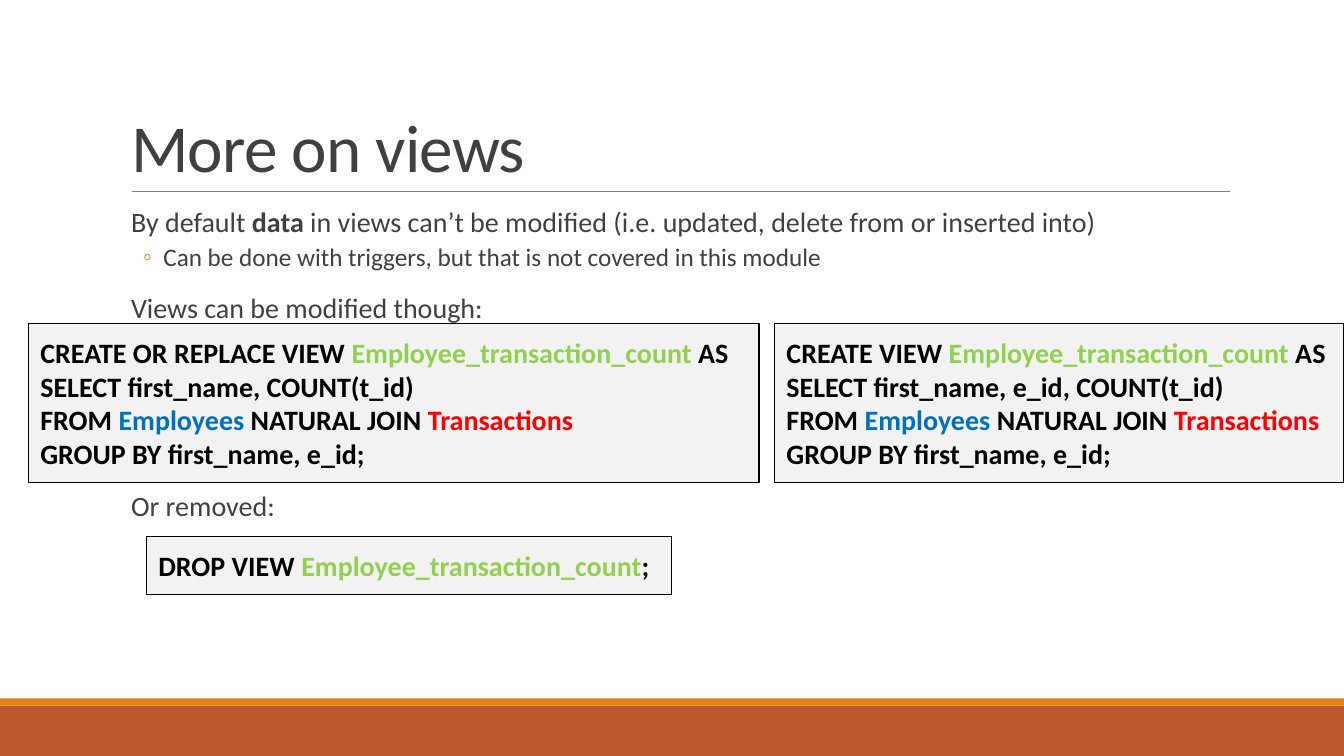
from dataclasses import dataclass

from lxml.etree import SubElement
from pptx import Presentation
from pptx.dml.color import RGBColor
from pptx.enum.shapes import MSO_CONNECTOR, MSO_SHAPE
from pptx.enum.text import MSO_ANCHOR, MSO_AUTO_SIZE, PP_ALIGN
from pptx.oxml.ns import qn
from pptx.util import Inches, Pt

# Content: "|" separates the runs of a line
TITLE = "More on views"
BODY = [  # level, text, space before in points
    (0, "By default |data| in views can’t be modified (i.e. updated, delete from or inserted into)", 0),
    (1, "Can be done with triggers, but that is not covered in this module", 2),
    (0, "Views can be modified though:", 12),
    (0, "Or removed:", 118),  # leaves room for the code boxes
]
EMPHASIZED = {"data"}
JOIN_AND_GROUP = [
    "FROM |Employees| NATURAL JOIN |Transactions",
    "GROUP BY first_name, e_id;",
]
REPLACE_VIEW = [
    "CREATE OR REPLACE VIEW |Employee_transaction_count| AS",
    "SELECT first_name, COUNT(t_id)",
] + JOIN_AND_GROUP
CREATE_VIEW = [
    "CREATE VIEW |Employee_transaction_count| AS",
    "SELECT first_name, e_id, COUNT(t_id)",
] + JOIN_AND_GROUP
DROP_VIEW = ["DROP VIEW |Employee_transaction_count|;"]


@dataclass(frozen=True)
class Theme:
    font: str = "Calibri"
    text: str = "404040"
    rule: str = "808080"
    accent: str = "E48312"
    footer: str = "BD582C"
    code: str = "000000"
    code_fill: str = "F2F2F2"
    view: str = "92D050"
    employees: str = "0070C0"
    transactions: str = "FF0000"
    title_size: int = 48
    body_sizes: tuple = (20, 18)
    code_size: int = 20


THEME = Theme()
NAME_COLORS = {
    "Employee_transaction_count": THEME.view,
    "Employees": THEME.employees,
    "Transactions": THEME.transactions,
}

# Layout in inches
WIDTH, HEIGHT = 13.33, 7.5
CONTENT_LEFT, CONTENT_WIDTH = 1.2, 11
TEXT_INSET = 0.1
RULE_TOP = 1.9
FOOTER_HEIGHT, STRIPE_HEIGHT = HEIGHT / 15, 0.07
FOOTER_TOP = HEIGHT - FOOTER_HEIGHT
CODE_TOP, CODE_HEIGHT, CODE_INSET = 3.21, 1.58, 0.12
CODE_LEFT, CODE_GAP, REPLACE_WIDTH = 0.28, 0.15, 7.25
CREATE_LEFT = CODE_LEFT + REPLACE_WIDTH + CODE_GAP
CODE_BOXES = [  # lines, left, top, width, height, wrap
    (CREATE_VIEW, CREATE_LEFT, CODE_TOP, WIDTH - CREATE_LEFT, CODE_HEIGHT, True),
    (REPLACE_VIEW, CODE_LEFT, CODE_TOP, REPLACE_WIDTH, CODE_HEIGHT, True),
    (DROP_VIEW, 1.45, 5.32, 5.21, 0.58, False),
]


def rgb(color):
    return RGBColor.from_string(color)


def style_run(run, size, color, bold=False):
    run.font.name = THEME.font
    run.font.size = Pt(size)
    run.font.color.rgb = rgb(color)
    run.font.bold = bold


def write_line(paragraph, line, size, color, bold_all=False):
    for piece in line.split("|"):
        run = paragraph.add_run()
        run.text = piece
        style_run(run, size, NAME_COLORS.get(piece, color), bold_all or piece in EMPHASIZED)


def place(shape, *box):
    shape.left, shape.top, shape.width, shape.height = map(Inches, box)


def add_box(slide, box, fill, outline=None):
    shape = slide.shapes.add_shape(MSO_SHAPE.RECTANGLE, *map(Inches, box))
    shape.shadow.inherit = False
    shape.fill.solid()
    shape.fill.fore_color.rgb = rgb(fill)
    if outline:
        shape.line.color.rgb = rgb(outline)
        shape.line.width = Pt(1)
    else:
        shape.line.fill.background()
    return shape


def set_margins(frame, horizontal, vertical):
    frame.margin_left = frame.margin_right = Inches(horizontal)
    frame.margin_top = frame.margin_bottom = Inches(vertical)


def set_bullet(paragraph, level):
    properties = paragraph._p.get_or_add_pPr()
    left, indent = ((0.1, 0), (0.42, -0.2))[level]
    properties.set("marL", str(Inches(left)))
    properties.set("indent", str(Inches(indent)))
    if level:
        color = SubElement(properties, qn("a:buClr"))
        SubElement(color, qn("a:srgbClr")).set("val", THEME.accent)
        SubElement(properties, qn("a:buChar")).set("char", "◦")
    else:
        SubElement(properties, qn("a:buNone"))


def add_frame(slide):
    """Footer bars and the rule under the title."""
    add_box(slide, (0, FOOTER_TOP, WIDTH, FOOTER_HEIGHT), THEME.footer)
    add_box(slide, (0, FOOTER_TOP - STRIPE_HEIGHT, WIDTH, STRIPE_HEIGHT), THEME.accent)
    rule_ends = (CONTENT_LEFT + 0.11, RULE_TOP, CONTENT_LEFT + CONTENT_WIDTH, RULE_TOP)
    rule = slide.shapes.add_connector(MSO_CONNECTOR.STRAIGHT, *map(Inches, rule_ends))
    rule.line.color.rgb = rgb(THEME.rule)
    rule.line.width = Pt(0.5)
    SubElement(rule._element.spPr, qn("a:effectLst"))


def fill_title(title):
    place(title, CONTENT_LEFT, 0.31, CONTENT_WIDTH, RULE_TOP - 0.31)
    frame = title.text_frame
    frame.text = TITLE
    frame.auto_size = MSO_AUTO_SIZE.NONE
    frame.vertical_anchor = MSO_ANCHOR.BOTTOM
    set_margins(frame, TEXT_INSET, TEXT_INSET / 2)
    heading = frame.paragraphs[0]
    heading.alignment = PP_ALIGN.LEFT
    heading.line_spacing = 0.85
    style_run(heading.runs[0], THEME.title_size, THEME.text)
    heading.runs[0]._r.get_or_add_rPr().set("spc", "-50")


def fill_body(body):
    place(body, CONTENT_LEFT, 2.02, CONTENT_WIDTH, 4.4)
    frame = body.text_frame
    frame.auto_size = MSO_AUTO_SIZE.NONE
    frame.vertical_anchor = MSO_ANCHOR.TOP
    set_margins(frame, 0, TEXT_INSET / 2)
    for index, (level, line, space_before) in enumerate(BODY):
        paragraph = frame.add_paragraph() if index else frame.paragraphs[0]
        paragraph.level = level
        set_bullet(paragraph, level)
        paragraph.line_spacing = 0.9
        paragraph.space_before = Pt(space_before)
        paragraph.space_after = Pt((2, 4)[level])
        write_line(paragraph, line, THEME.body_sizes[level], THEME.text)


def add_code(slide, lines, left, top, width, height, wrap):
    box = add_box(slide, (left, top, width, height), THEME.code_fill, THEME.code)
    frame = box.text_frame
    frame.word_wrap = wrap
    frame.auto_size = MSO_AUTO_SIZE.SHAPE_TO_FIT_TEXT
    frame.vertical_anchor = MSO_ANCHOR.TOP
    set_margins(frame, CODE_INSET, CODE_INSET)
    for index, line in enumerate(lines):
        paragraph = frame.add_paragraph() if index else frame.paragraphs[0]
        paragraph.alignment = PP_ALIGN.LEFT
        write_line(paragraph, line, THEME.code_size, THEME.code, bold_all=True)


def main():
    deck = Presentation()
    deck.slide_width, deck.slide_height = Inches(WIDTH), Inches(HEIGHT)
    slide = deck.slides.add_slide(deck.slide_layouts[1])
    add_frame(slide)
    fill_title(slide.shapes.title)
    fill_body(slide.placeholders[1])
    for code_box in CODE_BOXES:
        add_code(slide, *code_box)
    deck.save("out.pptx")


if __name__ == "__main__":
    main()
